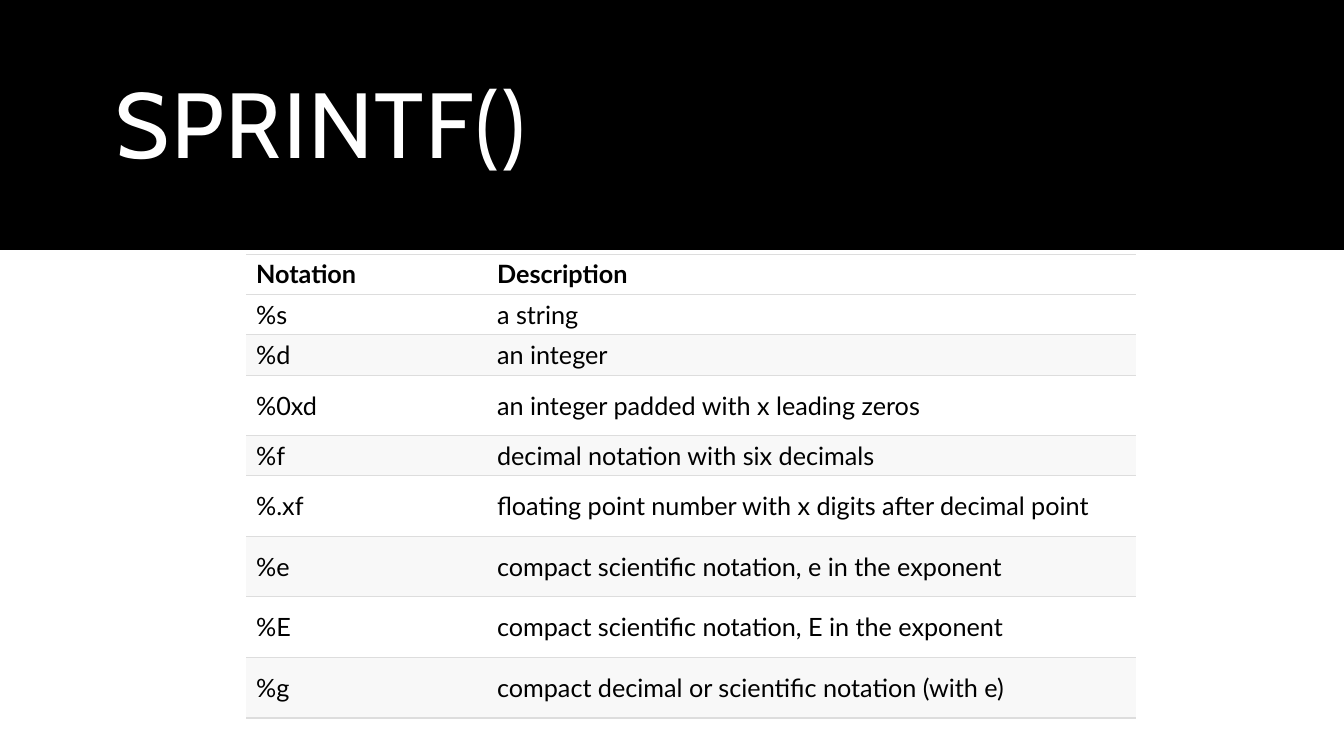
from dataclasses import dataclass

from lxml.etree import SubElement
from pptx import Presentation
from pptx.dml.color import RGBColor
from pptx.enum.shapes import MSO_SHAPE
from pptx.enum.text import MSO_ANCHOR, PP_ALIGN
from pptx.oxml.ns import qn
from pptx.util import Inches, Pt


@dataclass(frozen=True)
class Theme:
    black: str = "000000"
    white: str = "FFFFFF"
    stripe: str = "F8F8F8"
    rule: str = "DDDDDD"
    title_font: str = "Cabin"
    body_font: str = "Lato"
    title_size: int = 66
    body_size: int = 18
    rule_width: float = 0.75
    closing_rule_width: float = 1.5


THEME = Theme()
COLUMN_WIDTHS = (2.39, 6.44)
SHORT_ROW, TALL_ROW = 0.35, 0.6
NOTATIONS = [
    ("Notation", "Description", SHORT_ROW),
    ("%s", "a string", SHORT_ROW),
    ("%d", "an integer", SHORT_ROW),
    ("%0xd", "an integer padded with x leading zeros", TALL_ROW),
    ("%f", "decimal notation with six decimals", SHORT_ROW),
    ("%.xf", "floating point number with x digits after decimal point", TALL_ROW),
    ("%e", "compact scientific notation, e in the exponent", TALL_ROW),
    ("%E", "compact scientific notation, E in the exponent", TALL_ROW),
    ("%g", "compact decimal or scientific notation (with e)", TALL_ROW),
]


def write_text(text_frame, text, *, font=THEME.body_font, size=THEME.body_size,
               color=THEME.black, bold=False, line_spacing=None, tracking=None):
    """Fill the first paragraph; tracking is in points."""
    paragraph = text_frame.paragraphs[0]
    paragraph.alignment = PP_ALIGN.LEFT
    paragraph.line_spacing = line_spacing
    run = paragraph.add_run()
    run.text = text
    run.font.name = font
    run.font.size = Pt(size)
    run.font.bold = bold
    run.font.color.rgb = RGBColor.from_string(color)
    if tracking is not None:
        run._r.get_or_add_rPr().set("spc", str(round(tracking * 100)))


def add_banner(slide, width, height):
    banner = slide.shapes.add_shape(MSO_SHAPE.RECTANGLE, 0, 0, width, height)
    banner.shadow.inherit = False
    banner.fill.solid()
    banner.fill.fore_color.rgb = RGBColor.from_string(THEME.black)
    banner.line.fill.background()


def add_title(slide, text):
    box = slide.shapes.add_textbox(Inches(1.05), Inches(0.35), Inches(11.23), Inches(1.86))
    box.text_frame.word_wrap = True
    box.text_frame.vertical_anchor = MSO_ANCHOR.MIDDLE
    write_text(box.text_frame, text, font=THEME.title_font, size=THEME.title_size,
               color=THEME.white, line_spacing=0.9, tracking=1.2)


def set_borders(cell, top, bottom):
    """Rule a cell above and below (widths in points), with open sides."""
    properties = cell._tc.get_or_add_tcPr()
    widths = {"a:lnL": 0, "a:lnR": 0, "a:lnT": top, "a:lnB": bottom}
    for position, (tag, width) in enumerate(widths.items()):
        line = SubElement(properties, qn(tag), w=str(Pt(width)))
        if width:
            fill = SubElement(line, qn("a:solidFill"))
            SubElement(fill, qn("a:srgbClr"), val=THEME.rule)
        else:
            SubElement(line, qn("a:noFill"))
        properties.insert(position, line)


def format_cell(cell, text, fill, bold, bottom):
    cell.vertical_anchor = MSO_ANCHOR.MIDDLE
    cell.margin_left = cell.margin_right = Inches(0.1)
    cell.margin_top = cell.margin_bottom = Inches(0.05)
    cell.fill.solid()
    cell.fill.fore_color.rgb = RGBColor.from_string(fill)
    write_text(cell.text_frame, text, bold=bold)
    set_borders(cell, THEME.rule_width, bottom)


def add_notation_table(slide, rows):
    height = sum(row_height for *_, row_height in rows)
    table = slide.shapes.add_table(
        len(rows), len(COLUMN_WIDTHS), Inches(2.44), Inches(2.52),
        Inches(sum(COLUMN_WIDTHS)), Inches(height)).table
    table.first_row = table.horz_banding = False
    for column, width in zip(table.columns, COLUMN_WIDTHS):
        column.width = Inches(width)
    for index, (*texts, row_height) in enumerate(rows):
        table.rows[index].height = Inches(row_height)
        is_striped = index > 0 and index % 2 == 0
        is_last = index == len(rows) - 1
        for cell, text in zip(table.rows[index].cells, texts):
            format_cell(cell, text,
                        fill=THEME.stripe if is_striped else THEME.white,
                        bold=index == 0,
                        bottom=THEME.closing_rule_width if is_last else THEME.rule_width)


def main():
    presentation = Presentation()
    presentation.slide_width = Inches(13.33)
    presentation.slide_height = Inches(7.5)
    slide = presentation.slides.add_slide(presentation.slide_layouts[6])
    add_banner(slide, presentation.slide_width, Inches(2.48))
    add_title(slide, "SPRINTF()")
    add_notation_table(slide, NOTATIONS)
    presentation.save("out.pptx")


if __name__ == "__main__":
    main()
